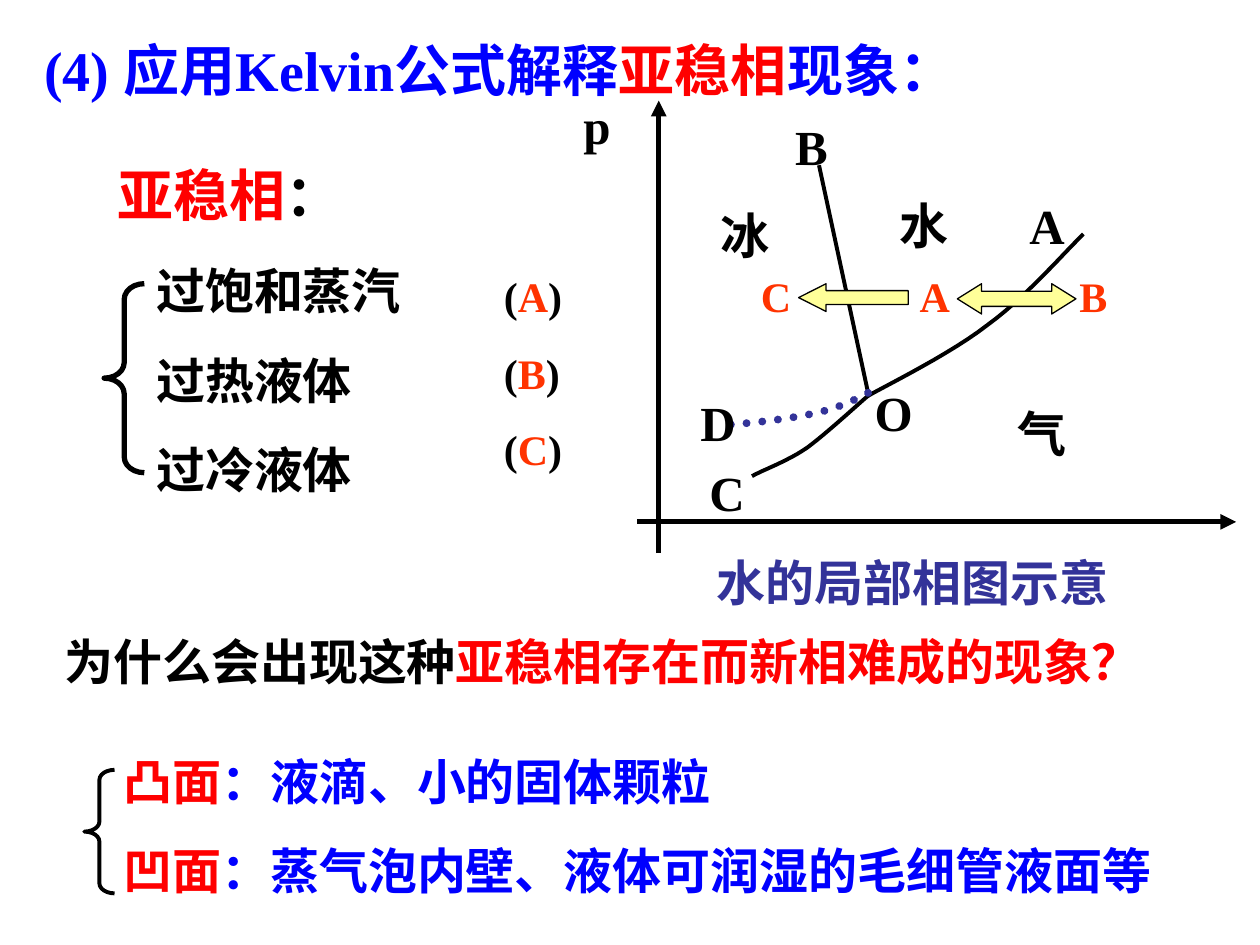
from lxml import etree
from pptx import Presentation
from pptx.dml.color import RGBColor
from pptx.enum import dml, shapes, text
from pptx.oxml.ns import qn
from pptx.util import Cm, Pt

BLACK, BLUE, RED, ORANGE = "000000", "0000FF", "FF0000", "FF3300"
INDIGO, YELLOW = "333399", "FFFF99"


def rgb(value):
    return RGBColor.from_string(value)


def add_text(box, lines, size, inset=False):
    """Write lines, each a list of (wording, colour) runs, in a box given in cm."""
    frame = slide.shapes.add_textbox(*map(Cm, box)).text_frame
    frame.word_wrap = True
    if not inset:
        frame.margin_left = frame.margin_right = 0
        frame.margin_top = frame.margin_bottom = 0
    for index, runs in enumerate(lines):
        paragraph = frame.paragraphs[0] if index == 0 else frame.add_paragraph()
        paragraph.alignment = text.PP_ALIGN.LEFT
        if index:
            paragraph.space_before = Pt(size * 0.625)
        paragraph.font.name = "Times New Roman"
        paragraph.font.size = Pt(size)
        paragraph.font.bold = True
        for wording, colour in runs:
            run = paragraph.add_run()
            run.text = wording
            run.font.color.rgb = rgb(colour)


prs = Presentation()
prs.slide_width, prs.slide_height = Cm(25.4), Cm(19.05)
slide = prs.slides.add_slide(prs.slide_layouts[6])

# Axes and the straight ice-water boundary: start, end, width, arrowhead
for start, end, width, arrow in [
    ((12.85, 10.52), (24.92, 10.52), 3, True),
    ((13.28, 11.15), (13.28, 2.03), 3, True),
    ((16.51, 3.33), (17.5, 7.92), 2.25, False),
]:
    line = slide.shapes.add_connector(
        shapes.MSO_CONNECTOR.STRAIGHT, *map(Cm, start + end))
    line.line.color.rgb = rgb(BLACK)
    line.line.width = Pt(width)
    properties = line._element.spPr
    if arrow:
        etree.SubElement(properties.find(qn("a:ln")), qn("a:tailEnd"), type="triangle")
    etree.SubElement(properties, qn("a:effectLst"))

# Curved boundaries from O, as chained cubic Bezier segments
boundary_a = [(17.5, 7.98), (17.91, 7.75), (19.2, 7.11), (19.91, 6.55),
              (20.65, 6.02), (21.44, 5.11), (21.84, 4.72)]
boundary_c = [(17.5, 7.98), (17.3, 8.15), (16.66, 8.74), (16.28, 9.02),
              (15.88, 9.3), (15.39, 9.47), (15.16, 9.6)]
metastable_d = [(17.5, 7.92), (17.2, 8.08), (16.89, 8.23), (16.43, 8.33),
                (15.98, 8.43), (15.37, 8.51), (14.73, 8.56)]
STEPS = 12
for controls, colour, width in [(boundary_a, BLACK, 2.25), (boundary_c, BLACK, 2.25),
                                (metastable_d, INDIGO, 4.5)]:
    points = []
    for first in (0, 3):
        for step in range(1, STEPS + 1):
            t = step / STEPS
            weights = ((1 - t) ** 3, 3 * t * (1 - t) ** 2, 3 * t * t * (1 - t), t ** 3)
            segment = controls[first:first + 4]
            points.append(tuple(
                Cm(sum(w * point[axis] for w, point in zip(weights, segment)))
                for axis in (0, 1)))
    builder = slide.shapes.build_freeform(*map(Cm, controls[0]))
    builder.add_line_segments(points, close=False)
    curve = builder.convert_to_shape()
    curve.shadow.inherit = False
    curve.fill.background()
    curve.line.color.rgb = rgb(colour)
    curve.line.width = Pt(width)
    if controls is metastable_d:
        curve.line.dash_style = dml.MSO_LINE.ROUND_DOT
        curve._element.spPr.find(qn("a:ln")).set("cap", "rnd")

# Names of the points, phases and pressure axis
for label, left, top in [
    ("O", 17.63, 7.72), ("B", 16.03, 2.34), ("A", 20.75, 3.94), ("C", 14.3, 9.32),
    ("D", 14.12, 7.92), ("冰", 14.53, 4.14), ("水", 18.14, 3.94), ("气", 20.52, 8.13),
    ("p", 11.76, 1.93),
]:
    add_text((left, top, 1.6, 1.19), [[(label, BLACK)]], 28)
add_text((14.45, 11.13, 8, 1.19), [[("水的局部相图示意", INDIGO)]], 28)

# Paths from the state A to the metastable states
for preset, box, head in [
    (shapes.MSO_SHAPE.LEFT_RIGHT_ARROW, (19.3, 5.72, 2.39, 0.61), 0.8),
    (shapes.MSO_SHAPE.LEFT_ARROW, (16.1, 5.72, 2.21, 0.56), 0.99),
]:
    change = slide.shapes.add_shape(preset, *map(Cm, box))
    change.adjustments[0], change.adjustments[1] = 0.5, head
    change.shadow.inherit = False
    change.fill.solid()
    change.fill.fore_color.rgb = rgb(YELLOW)
    change.line.color.rgb = rgb(BLACK)
    change.line.width = Pt(0.75)
for state, left in [("A", 18.29), ("B", 21.51), ("C", 15.09)]:
    add_text((left, 5.33, 1.45, 1.27), [[(state, ORANGE)]], 24, inset=True)

# Heading and the list of metastable phases
add_text((0.89, 0.71, 23.01, 1.35),
         [[("(4) 应用Kelvin公式解释", BLUE), ("亚稳相", RED), ("现象：", BLUE)]], 32)
add_text((2.11, 3.12, 7.9, 1.63), [[("亚稳相", RED), ("：", BLACK)]], 32, inset=True)
add_text((2.9, 5.13, 6.81, 5.05),
         [[(phase, BLACK)] for phase in ("过饱和蒸汽", "过热液体", "过冷液体")],
         28, inset=True)
add_text((9.91, 5.33, 2.13, 4.37),
         [[("(", BLACK), (state, ORANGE), (")", BLACK)] for state in "ABC"],
         24, inset=True)

# Question and the two kinds of surface
add_text((1.3, 12.73, 22.61, 1.19),
         [[("为什么会出现这种", BLACK), ("亚稳相存在而新相难成的现象？", RED)]], 28)
add_text((2.49, 15.14, 21.82, 3),
         [[("凸面", RED), ("：液滴、小的固体颗粒", BLUE)],
          [("凹面", RED), ("：蒸气泡内壁、液体可润湿的毛细管液面等", BLUE)]], 28)

for box, bend, width in [((2.1, 5.72, 0.81, 3.81), 0.39, 3),
                         ((1.7, 15.52, 0.61, 2.49), 0.33, 2.25)]:
    brace = slide.shapes.add_shape(shapes.MSO_SHAPE.LEFT_BRACE, *map(Cm, box))
    brace.adjustments[0] = bend
    brace.shadow.inherit = False
    brace.fill.background()
    brace.line.color.rgb = rgb(BLACK)
    brace.line.width = Pt(width)

prs.save("out.pptx")
